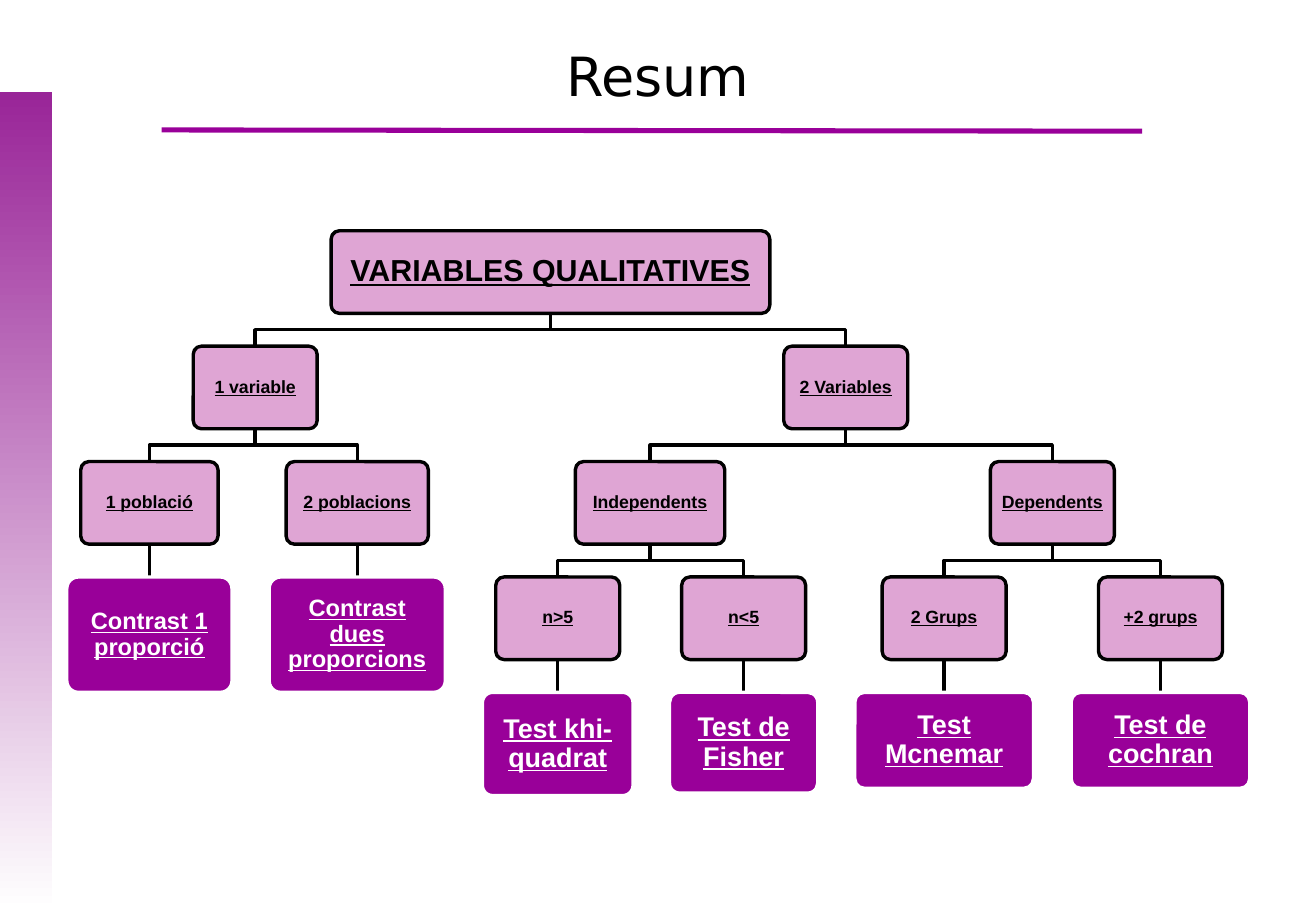
from dataclasses import dataclass

from lxml.etree import SubElement
from pptx import Presentation
from pptx.dml.color import RGBColor
from pptx.enum.shapes import MSO_CONNECTOR as LINK, MSO_SHAPE as SHAPE
from pptx.enum.text import MSO_ANCHOR as ANCHOR, PP_ALIGN as ALIGN
from pptx.oxml.ns import qn
from pptx.util import Inches, Pt

COLOURS = {
    "band": "992598",
    "purple": "990099",
    "pink": "DFA5D4",
    "black": "000000",
    "white": "FFFFFF",
}


@dataclass
class Node:
    text: str
    center: float
    width: float = 1.02
    height: float = 0.68
    size: float = 10.5
    inset: float = 0.05
    children: tuple = ()


TITLE = "Resum"
TREE = Node("VARIABLES QUALITATIVES", 4.53, 3.61, size=18, inset=0.07, children=(
    Node("1 variable", 2.1, children=(
        Node("1 població", 1.23, 1.13, children=(
            Node("Contrast 1 proporció", 1.23, 1.36, 0.95, 14, 0.06),)),
        Node("2 poblacions", 2.94, 1.17, children=(
            Node("Contrast dues proporcions", 2.94, 1.45, 0.95, 14, 0.06),)),
    )),
    Node("2 Variables", 6.96, children=(
        Node("Independents", 5.35, 1.23, children=(
            Node("n>5", 4.59, children=(
                Node("Test khi-quadrat", 4.59, 1.24, 0.85, 16, 0.07),)),
            Node("n<5", 6.12, children=(
                Node("Test de Fisher", 6.12, 1.22, 0.83, 16, 0.07),)),
        )),
        Node("Dependents", 8.66, children=(
            Node("2 Grups", 7.77, children=(
                Node("Test Mcnemar", 7.77, 1.47, 0.79, 16, 0.07),)),
            Node("+2 grups", 9.55, children=(
                Node("Test de cochran", 9.55, 1.47, 0.79, 16, 0.07),)),
        )),
    )),
))
TREE_TOP = 1.9
LEVEL_STEP = 0.95

prs = Presentation()
prs.slide_width, prs.slide_height = Inches(10.83), Inches(7.5)
slide = prs.slides.add_slide(prs.slide_layouts[6])


def colour(name):
    return RGBColor.from_string(COLOURS[name])


def write(holder, text, *, size, font="Arial", ink="black", bold=False,
          underline=False, inset=0.05, anchor=ANCHOR.MIDDLE, spacing=1.0):
    frame = holder.text_frame
    frame.word_wrap = True
    frame.vertical_anchor = anchor
    frame.margin_left = frame.margin_right = Inches(inset)
    frame.margin_top = frame.margin_bottom = Inches(inset)
    paragraph = frame.paragraphs[0]
    paragraph.alignment = ALIGN.CENTER
    paragraph.line_spacing = spacing
    run = paragraph.add_run()
    run.text = text
    run.font.name, run.font.size = font, Pt(size)
    run.font.bold, run.font.underline = bold, underline
    run.font.color.rgb = colour(ink)


def outline(part, name, width=2):
    part.line.color.rgb = colour(name)
    part.line.width = Pt(width)


def add_line(x1, y1, x2, y2, name, width=2):
    line = slide.shapes.add_connector(
        LINK.STRAIGHT, Inches(x1), Inches(y1), Inches(x2), Inches(y2))
    outline(line, name, width)
    SubElement(line._element.spPr, qn("a:effectLst"))


def add_branch(start, top, end, bottom):
    if start == end:
        add_line(start, top, end, bottom, "black")
        return
    middle = (top + bottom) / 2
    builder = slide.shapes.build_freeform(Inches(start), Inches(top))
    corners = [(start, middle), (end, middle), (end, bottom)]
    builder.add_line_segments(
        [(Inches(x), Inches(y)) for x, y in corners], close=False)
    branch = builder.convert_to_shape()
    branch.shadow.inherit = False
    branch.fill.background()
    outline(branch, "black")


def add_node(node, level=0):
    top = TREE_TOP + LEVEL_STEP * level
    for child in node.children:
        add_branch(node.center, top + node.height, child.center, top + LEVEL_STEP)
        add_node(child, level + 1)
    fill, edge, ink = (("pink", "black", "black") if node.children
                       else ("purple", "white", "white"))
    box = slide.shapes.add_shape(
        SHAPE.ROUNDED_RECTANGLE, Inches(node.center - node.width / 2), Inches(top),
        Inches(node.width), Inches(node.height))
    box.adjustments[0] = 0.1
    box.shadow.inherit = False
    box.fill.solid()
    box.fill.fore_color.rgb = colour(fill)
    outline(box, edge)
    write(box, node.text, size=node.size, ink=ink, bold=True, underline=True,
          inset=node.inset, spacing=0.9)


band = slide.shapes.add_shape(
    SHAPE.RECTANGLE, Inches(0), Inches(0.76), Inches(0.43), Inches(6.74))
band.shadow.inherit = False
band.line.fill.background()
band.fill.gradient()
band.fill.gradient_angle = 270
for stop, name in zip(band.fill.gradient_stops, ("band", "white")):
    stop.color.rgb = colour(name)

add_line(1.33, 1.07, 9.4, 1.08, "purple", 3)
add_node(TREE)

title = slide.shapes.add_textbox(Inches(0.54), Inches(0.3), Inches(9.75), Inches(1.25))
write(title, TITLE, size=32, font="DejaVu Sans", anchor=ANCHOR.TOP)

prs.save("out.pptx")
